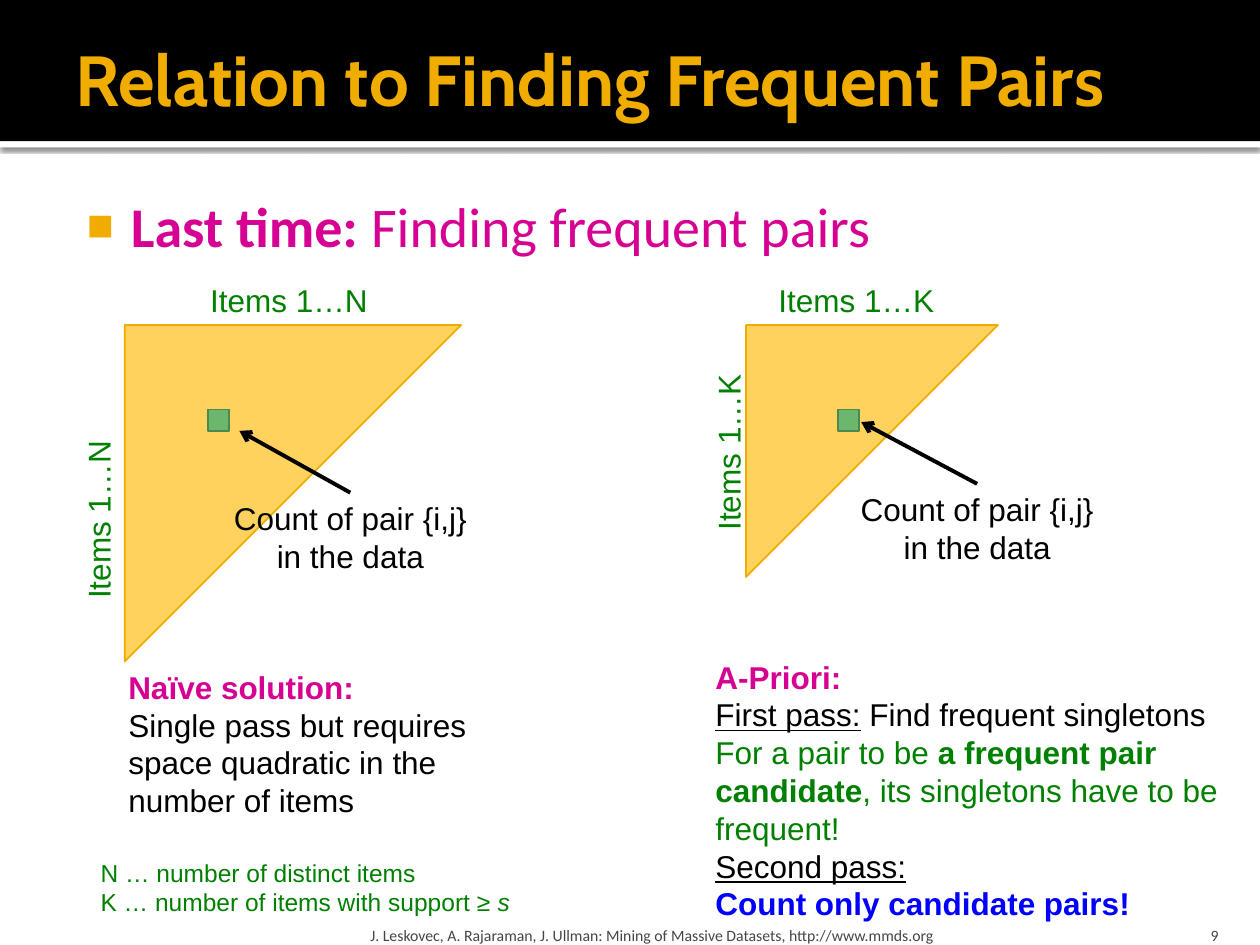
from lxml import etree
from pptx import Presentation
from pptx.dml.color import RGBColor
from pptx.enum.shapes import MSO_CONNECTOR as CONN, MSO_SHAPE as SHAPE
from pptx.enum.text import MSO_ANCHOR as ANCHOR, PP_ALIGN as ALIGN
from pptx.oxml import parse_xml
from pptx.oxml.ns import nsdecls, qn
from pptx.util import Inches, Pt

WHITE = RGBColor(0xFF, 0xFF, 0xFF)
BLACK = RGBColor(0, 0, 0)
GOLD = RGBColor(0xF0, 0xAD, 0x00)
PALE_GOLD = RGBColor(0xFF, 0xD2, 0x5D)
MAGENTA = RGBColor(0xD6, 0x00, 0x93)
GREEN = RGBColor(0x00, 0x80, 0x00)
CELL = RGBColor(0x6B, 0xB7, 0x6D)
CELL_EDGE = RGBColor(0x4F, 0x87, 0x51)
BLUE = RGBColor(0x00, 0x00, 0xFF)
GREY = RGBColor(0x45, 0x45, 0x45)
INSETS = (0.1, 0.05, 0.1, 0.05)
BREAK = ("\n", {})


def add_shape(s, kind, box, fill, line=None):
    sp = s.shapes.add_shape(kind, *map(Inches, box))
    sp.shadow.inherit = False
    sp.fill.solid()
    sp.fill.fore_color.rgb = fill
    if line is None:
        sp.line.fill.background()
    else:
        sp.line.color.rgb = line
        sp.line.width = Pt(1)
    return sp


def add_text(s, box, paragraphs, size=18, name="Arial", color=BLACK, align=ALIGN.LEFT,
             anchor=ANCHOR.TOP, insets=INSETS, wrap=True):
    """Each paragraph is a list of (text, format) runs."""
    sp = s.shapes.add_textbox(*map(Inches, box))
    tf = sp.text_frame
    tf.word_wrap = wrap
    tf.vertical_anchor = anchor
    for side, inset in zip(("left", "top", "right", "bottom"), insets):
        setattr(tf, f"margin_{side}", Inches(inset))
    for i, runs in enumerate(paragraphs):
        p = tf.paragraphs[0] if i == 0 else tf.add_paragraph()
        p.alignment = align
        for text, fmt in runs:
            if text == "\n":
                p.add_line_break()
                continue
            r = p.add_run()
            r.text = text
            values = {"size": Pt(size), "name": name, "color": color, **fmt}
            r.font.color.rgb = values.pop("color")
            for key, value in values.items():
                setattr(r.font, key, value)
    return sp


def add_arrow(s, start, end):
    ln = s.shapes.add_connector(CONN.STRAIGHT, *map(Inches, (*start, *end)))
    ln.line.color.rgb = BLACK
    ln.line.width = Pt(2.25)
    etree.SubElement(ln.line._get_or_add_ln(), qn("a:tailEnd"), type="arrow")
    etree.SubElement(ln._element.spPr, qn("a:effectLst"))


def add_header(s, x, y, w, h):
    # White strip with a soft shadow under the black band
    strip = add_shape(s, SHAPE.RECTANGLE, (x, y + h, w, 0.05), WHITE)
    effects = strip._element.spPr.find(qn("a:effectLst"))
    effects.append(parse_xml(
        f'<a:outerShdw {nsdecls("a")} blurRad="{Pt(2.5)}" dist="{Pt(0.8)}" dir="5400000" '
        'algn="tl" rotWithShape="0"><a:srgbClr val="000000"><a:alpha val="60000"/>'
        '</a:srgbClr></a:outerShdw>'))
    add_shape(s, SHAPE.RECTANGLE, (x, y, w, h), BLACK)
    add_text(s, (x + 0.5, y + 0.08, w - 1, 1.08),
             [[("Relation to Finding Frequent Pairs", {"bold": True})]],
             size=40.5, name="Cabin", color=GOLD, anchor=ANCHOR.MIDDLE,
             insets=(0.1, 0.05, 0.05, 0.05))


def add_bullet(s, box):
    sp = add_text(s, box, [[("Last time:", {"bold": True}), (" Finding frequent pairs", {})]],
                  size=32, name="Calibri", color=MAGENTA, insets=(0.06, 0.1, 0.1, 0.05))
    pPr = sp.text_frame.paragraphs[0]._p.get_or_add_pPr()
    pPr.set("marL", str(Inches(0.48)))
    pPr.set("indent", str(Inches(-0.35)))
    color = etree.SubElement(pPr, qn("a:buClr"))
    etree.SubElement(color, qn("a:srgbClr"), val=str(GOLD))
    etree.SubElement(pPr, qn("a:buSzPct"), val="80000")
    etree.SubElement(pPr, qn("a:buFont"), typeface="Arial")
    etree.SubElement(pPr, qn("a:buChar"), char="■")


def add_matrix(s, x, y, size, items, top_dx, side, cell_dx, caption, arrow_dx):
    """Triangular pair matrix; side and caption are offsets from its corner."""
    triangle = add_shape(s, SHAPE.RIGHT_TRIANGLE, (x, y, size, size), PALE_GOLD, GOLD)
    triangle.rotation = 90
    # Axis labels
    label = [[(items, {})]]
    side_dx, side_dy = side
    axis = add_text(s, (x + side_dx, y + side_dy, 1.46, 0.4), label, color=GREEN, wrap=False)
    axis.rotation = 270
    add_text(s, (x + top_dx, y - 0.4, 1.46, 0.4), label, color=GREEN, wrap=False)
    # One cell and its caption
    add_shape(s, SHAPE.RECTANGLE, (x + cell_dx, y + 0.67, 0.17, 0.17), CELL, CELL_EDGE)
    dx, dy, w = caption
    add_text(s, (x + dx, y + dy, w, 0.71), [[("Count of pair {i,j} in the data", {})]],
             align=ALIGN.CENTER)
    start = x + dx + w / 2
    add_arrow(s, (start, y + dy), (start - arrow_dx, y + dy - 0.49))


def add_notes(s):
    heading = {"color": MAGENTA, "bold": True}
    add_text(s, (0.92, 5.25, 2.9, 1.31), [[
        ("Naïve solution: ", heading), BREAK,
        ("Single pass but requires space quadratic in the number of items", {})]])
    green, under = {"color": GREEN}, {"underline": True}
    add_text(s, (5.58, 5.17, 4.33, 2.22), [
        [("A-Priori:", heading), BREAK,
         ("First pass:", under), (" Find frequent singletons", {})],
        [("For a pair to be ", green),
         ("a frequent pair candidate", {**green, "bold": True}),
         (", its singletons have to be frequent!", green), BREAK,
         ("Second pass:", under), (" ", {}), BREAK,
         ("Count only candidate pairs!", {"color": BLUE, "bold": True})]])
    # Legend
    add_text(s, (0.7, 6.76, 3.46, 0.57), [
        [("N … number of distinct items", {})],
        [("K … number of items with support ≥ ", {}), ("s", {"italic": True})]],
        size=14, color=GREEN, wrap=False)


def add_footer(s, y, h):
    style = {"size": 9, "name": "Calibri", "color": GREY, "anchor": ANCHOR.BOTTOM}
    credit = "J. Leskovec, A. Rajaraman, J. Ullman: Mining of Massive Datasets, http://www.mmds.org"
    add_text(s, (2.89, y, 6.02, h), [[(credit, {})]], insets=(0.05, 0.05, 0.05, 0), **style)
    add_text(s, (8.97, y, 0.8, h), [[("9", {})]], align=ALIGN.RIGHT,
             insets=(0.1, 0.05, 0.1, 0), **style)


def main():
    prs = Presentation()
    prs.slide_width, prs.slide_height = Inches(10), Inches(7.5)
    s = prs.slides.add_slide(prs.slide_layouts[6])
    add_header(s, 0, 0, 10, 1.12)
    add_bullet(s, (0.5, 1.42, 9, 2))
    add_footer(s, 7.2, 0.3)
    add_matrix(s, 0.99, 2.58, 2.67, "Items 1…N", top_dx=0.58, side=(-0.94, 1.34),
               cell_dx=0.66, caption=(0.75, 1.33, 2.08), arrow_dx=0.88)
    add_matrix(s, 5.92, 2.58, 2, "Items 1…K", top_dx=0.16, side=(-0.87, 0.8),
               cell_dx=0.73, caption=(0.75, 1.26, 2.17), arrow_dx=0.92)
    add_notes(s)
    prs.save("out.pptx")


if __name__ == "__main__":
    main()
